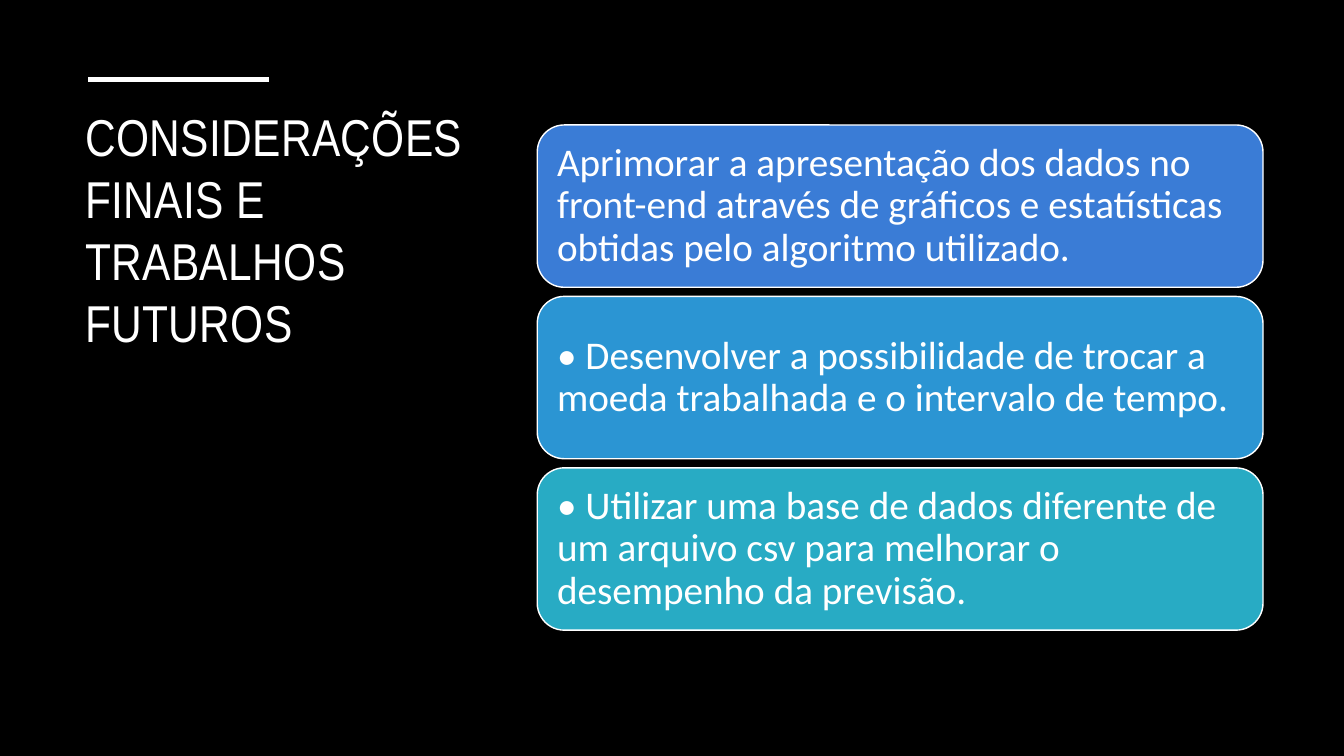
from typing import NamedTuple

from lxml.etree import SubElement
from pptx import Presentation
from pptx.dml.color import RGBColor
from pptx.enum.shapes import MSO_CONNECTOR as Link, MSO_SHAPE as Form
from pptx.enum.text import MSO_ANCHOR as Anchor, PP_ALIGN as Align
from pptx.oxml.ns import qn
from pptx.slide import Slide
from pptx.text.text import TextFrame
from pptx.util import Cm, Pt

BLACK = RGBColor(0x00, 0x00, 0x00)
WHITE = RGBColor(0xFF, 0xFF, 0xFF)
BLUE = RGBColor(0x3A, 0x7C, 0xD6)
SKY = RGBColor(0x2B, 0x95, 0xD3)
TEAL = RGBColor(0x28, 0xAB, 0xC4)

LEFT, TOP, WIDTH, HEIGHT = 13.54, 3.15, 18.29, 4.09
PITCH = 4.32


class Card(NamedTuple):
    text: str
    fill: RGBColor


CARDS = [
    Card("Aprimorar a apresentação dos dados no front-end através de gráficos "
         "e estatísticas obtidas pelo algoritmo utilizado.", BLUE),
    Card("• Desenvolver a possibilidade de trocar a moeda trabalhada "
         "e o intervalo de tempo.", SKY),
    Card("• Utilizar uma base de dados diferente de um arquivo csv "
         "para melhorar o desempenho da previsão.", TEAL),
]


def write(frame: TextFrame, text: str, face: str, size: float) -> None:
    frame.word_wrap = True
    frame.text = text
    para = frame.paragraphs[0]
    para.alignment = Align.LEFT
    para.font.name = face
    para.font.size = Pt(size)
    para.font.color.rgb = WHITE


def add_title(slide: Slide) -> None:
    box = slide.shapes.add_textbox(Cm(1.9), Cm(2.51), Cm(10.06), Cm(10.11))
    frame = box.text_frame
    write(frame, "CONSIDERAÇÕES FINAIS E  TRABALHOS FUTUROS", "Arial Narrow", 37)
    run = frame.paragraphs[0].runs[0]
    run._r.get_or_add_rPr().set("spc", "30")


def add_rule(slide: Slide) -> None:
    rule = slide.shapes.add_connector(
        Link.STRAIGHT, Cm(2.23), Cm(2), Cm(6.78), Cm(2))
    rule.line.color.rgb = WHITE
    rule.line.width = Pt(3.5)
    SubElement(rule._element.spPr, qn("a:effectLst"))


def add_card(slide: Slide, card: Card, top: float) -> None:
    shape = slide.shapes.add_shape(
        Form.ROUNDED_RECTANGLE, Cm(LEFT), Cm(top), Cm(WIDTH), Cm(HEIGHT))
    shape.shadow.inherit = False
    shape.fill.solid()
    shape.fill.fore_color.rgb = card.fill
    shape.line.color.rgb = WHITE
    shape.line.width = Pt(1)
    frame = shape.text_frame
    frame.vertical_anchor = Anchor.MIDDLE
    frame.margin_left = frame.margin_right = Cm(0.3)
    frame.margin_top = frame.margin_bottom = Cm(0.3)
    write(frame, card.text, "Calibri", 28)
    frame.paragraphs[0].line_spacing = 0.9


def main() -> None:
    deck = Presentation()
    deck.slide_width, deck.slide_height = Cm(33.87), Cm(19.05)
    slide = deck.slides.add_slide(deck.slide_layouts[6])
    slide.background.fill.solid()
    slide.background.fill.fore_color.rgb = BLACK
    add_title(slide)
    add_rule(slide)
    for row, card in enumerate(CARDS):
        add_card(slide, card, TOP + row * PITCH)
    deck.save("out.pptx")


if __name__ == "__main__":
    main()
